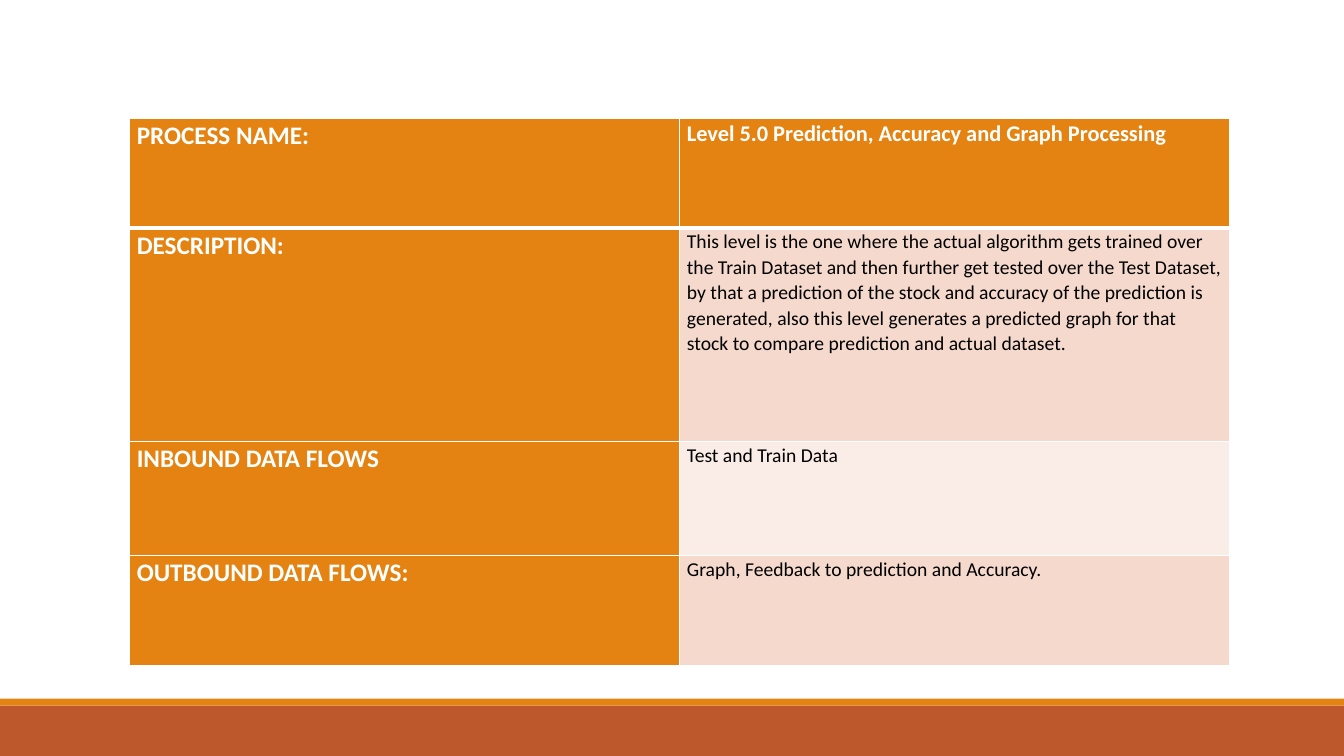
import pptx
import pptx.dml.color
import pptx.enum.shapes
import pptx.oxml
import pptx.oxml.ns
import pptx.util
from lxml import etree

Pt = pptx.util.Pt
WIDTH, HEIGHT = 960, 540
ORANGE, RUST, WHITE, BLACK = "E48312", "BD582C", "FFFFFF", "000000"
ROWS = [
    (78.5, "PROCESS NAME:", "Level 5.0 Prediction, Accuracy and Graph Processing", ORANGE),
    (152.6, "DESCRIPTION:",
     "This level is the one where the actual algorithm gets trained over the Train Dataset "
     "and then further get tested over the Test Dataset, by that a prediction of the stock "
     "and accuracy of the prediction is generated, also this level generates a predicted "
     "graph for that stock to compare prediction and actual dataset.", "F5D9CC"),
    (81.4, "INBOUND DATA FLOWS", "Test and Train Data", "FAEDE7"),
    (78.5, "OUTBOUND DATA FLOWS:", "Graph, Feedback to prediction and Accuracy.", "F5D9CC"),
]


def paint(fill, color):
    """Give a fill one solid colour from a hex string."""
    fill.solid()
    fill.fore_color.rgb = pptx.dml.color.RGBColor.from_string(color)


def set_borders(cell, widths):
    """Draw white borders on a cell, with widths in points by side."""
    properties = cell._tc.get_or_add_tcPr()
    for index, (side, width) in enumerate(widths.items()):
        border = etree.Element(pptx.oxml.ns.qn(f"a:ln{side}"), w=str(Pt(width)))
        solid = etree.SubElement(border, pptx.oxml.ns.qn("a:solidFill"))
        etree.SubElement(solid, pptx.oxml.ns.qn("a:srgbClr"), val=WHITE)
        properties.insert(index, border)


def fill_cell(cell, text, size, color, bold, background):
    """Write one styled run into a cell and colour the cell."""
    paint(cell.fill, background)
    cell.margin_left = cell.margin_right = Pt(5.2)
    cell.margin_top = cell.margin_bottom = 0
    para = cell.text_frame.paragraphs[0]
    para.line_spacing = 1.07
    span = para.add_run()
    span.text = text
    span.font.name = "Calibri"
    span.font.size = Pt(size)
    span.font.bold = bold
    paint(span.font.fill, color)


def add_process_table(page, left, top, width):
    """Place the process description table in the given box."""
    height = sum(row[0] for row in ROWS)
    table = page.shapes.add_table(
        len(ROWS), 2, Pt(left), Pt(top), Pt(width), Pt(height)).table
    for column in table.columns:
        column.width = Pt(width / 2)
    for index, (row_height, label, value, background) in enumerate(ROWS):
        heading = index == 0
        table.rows[index].height = Pt(row_height)
        label_cell, value_cell = table.cell(index, 0), table.cell(index, 1)
        fill_cell(label_cell, label, 18, WHITE, True, ORANGE)
        fill_cell(value_cell, value, 16 if heading else 14,
                  WHITE if heading else BLACK, heading, background)
        widths = {"L": 1, "R": 1, "T": 3 if index == 1 else 1, "B": 3 if heading else 1}
        for cell in (label_cell, value_cell):
            set_borders(cell, widths)


def add_footer(page, left, top, width, height):
    """Place the thin orange stripe above the rust band."""
    stripe = 5
    for offset, depth, color in ((stripe, height - stripe, RUST), (0, stripe, ORANGE)):
        band = page.shapes.add_shape(
            pptx.enum.shapes.MSO_SHAPE.RECTANGLE,
            Pt(left), Pt(top + offset), Pt(width), Pt(depth))
        band.shadow.inherit = False
        paint(band.fill, color)
        band.line.fill.background()


def main():
    """Build the slide and save the deck."""
    deck = pptx.Presentation()
    deck.slide_width, deck.slide_height = Pt(WIDTH), Pt(HEIGHT)
    page = deck.slides.add_slide(deck.slide_layouts[6])
    add_footer(page, 0, HEIGHT - 41, WIDTH, 41)
    add_process_table(page, 92.5, 84.5, 786)
    deck.save("out.pptx")


if __name__ == "__main__":
    main()
